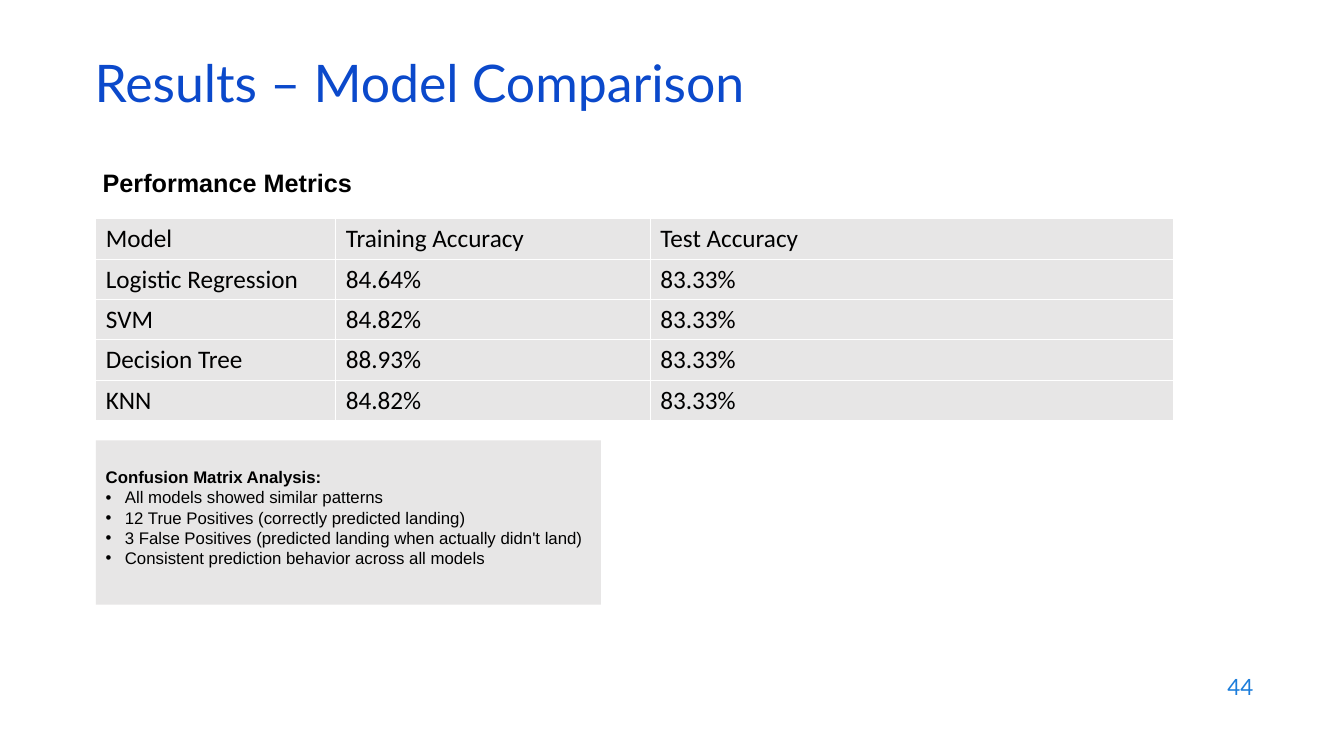
import pptx
import pptx.util
import pptx.dml.color
import pptx.enum.shapes
import pptx.enum.text
import pptx.oxml.ns
from lxml import etree

PX = 9144  # 100 px to the inch
BLACK, PANEL = "000000", "E7E6E6"
ALIGN = pptx.enum.text.PP_ALIGN
ANCHOR = pptx.enum.text.MSO_ANCHOR

RESULTS = [
    ("Model", "Training Accuracy", "Test Accuracy"),
    ("Logistic Regression", "84.64%", "83.33%"),
    ("SVM", "84.82%", "83.33%"),
    ("Decision Tree", "88.93%", "83.33%"),
    ("KNN", "84.82%", "83.33%"),
]
FINDINGS = [
    "All models showed similar patterns",
    "12 True Positives (correctly predicted landing)",
    "3 False Positives (predicted landing when actually didn't land)",
    "Consistent prediction behavior across all models",
]


def emu(*lengths):
    return [pptx.util.Emu(length * PX) for length in lengths]


def color(hex_value):
    return pptx.dml.color.RGBColor.from_string(hex_value)


def paint(part, hex_value):
    part.fill.solid()
    part.fill.fore_color.rgb = color(hex_value)


def style(paragraph, font, size, hex_value=BLACK, bold=False):
    for run in paragraph.runs:
        run.font.name = font
        run.font.size = pptx.util.Pt(size)
        run.font.bold = bold
        run.font.color.rgb = color(hex_value)


def add_bullet(paragraph, indent):
    properties = paragraph._p.get_or_add_pPr()
    properties.set("marL", str(indent * PX))
    properties.set("indent", str(-indent * PX))
    for tag, key, value in (("a:buFont", "typeface", "Arial"), ("a:buChar", "char", "•")):
        etree.SubElement(properties, pptx.oxml.ns.qn(tag)).set(key, value)


def add_line(slide, box, text, font, size, hex_value=BLACK, bold=False,
             align=ALIGN.LEFT, anchor=ANCHOR.MIDDLE, spacing=None):
    frame = slide.shapes.add_textbox(*emu(*box)).text_frame
    frame.word_wrap = True
    frame.vertical_anchor = anchor
    frame.text = text
    line = frame.paragraphs[0]
    line.alignment = align
    line.line_spacing = spacing
    style(line, font, size, hex_value, bold)


def add_results_table(slide, box, column_widths):
    table = slide.shapes.add_table(len(RESULTS), len(column_widths), *emu(*box)).table
    table.first_row = table.horz_banding = False
    for column, width in zip(table.columns, emu(*column_widths)):
        column.width = width
    for r, values in enumerate(RESULTS):
        for c, value in enumerate(values):
            cell = table.cell(r, c)
            cell.text = value
            cell.vertical_anchor = ANCHOR.MIDDLE
            paint(cell, PANEL)
            style(cell.text_frame.paragraphs[0], "Calibri", 18)


def add_confusion_panel(slide, box):
    panel = slide.shapes.add_shape(pptx.enum.shapes.MSO_SHAPE.RECTANGLE, *emu(*box))
    panel.shadow.inherit = False
    panel.line.fill.background()
    paint(panel, PANEL)
    frame = panel.text_frame
    frame.word_wrap = False
    frame.vertical_anchor = ANCHOR.TOP
    frame.margin_top, = emu(26)
    frame.text = "\n".join(["Confusion Matrix Analysis:"] + FINDINGS)
    for i, line in enumerate(frame.paragraphs):
        line.alignment = ALIGN.LEFT
        line.line_spacing = pptx.util.Pt(14.5)
        if i > 0:
            add_bullet(line, 19)
        style(line, "Arial", 12, bold=i == 0)


def build_results_slide(slide):
    # Title and page number
    add_line(slide, (84, 59, 1150, 60), "Results – Model Comparison", "Lato", 37,
             "0B49CB", spacing=0.7)
    add_line(slide, (953, 659, 300, 44), "44", "Lato", 16, "1C7DDB", align=ALIGN.RIGHT)
    # Metrics heading and table
    add_line(slide, (92, 161, 536, 40), "Performance Metrics", "Arial", 18,
             bold=True, anchor=ANCHOR.TOP)
    add_results_table(slide, (95, 217, 1069, 200), (238, 312, 519))
    # Confusion matrix findings
    add_confusion_panel(slide, (95, 437, 501, 163))


def main():
    deck = pptx.Presentation()
    deck.slide_width, deck.slide_height = emu(1333, 750)
    build_results_slide(deck.slides.add_slide(deck.slide_layouts[6]))
    deck.save("out.pptx")


if __name__ == "__main__":
    main()
